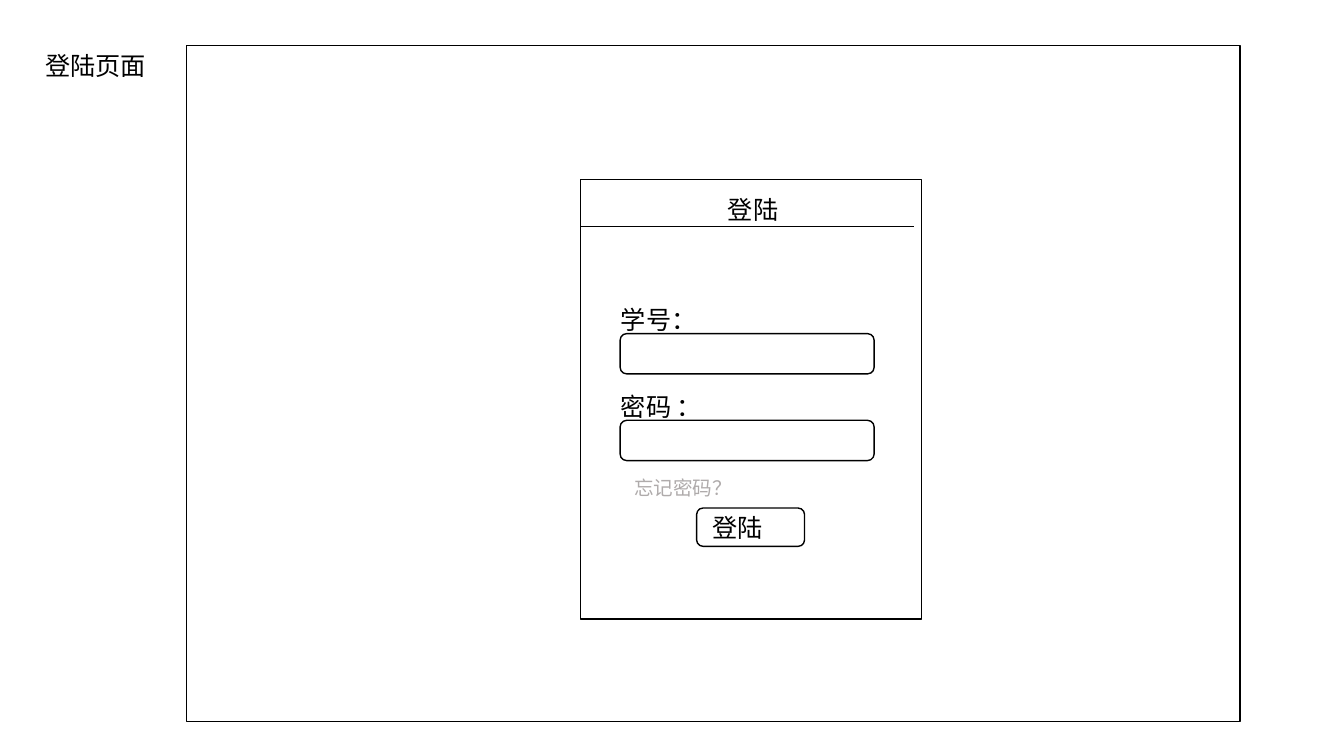
from lxml import etree
from pptx import Presentation
from pptx.dml.color import RGBColor
from pptx.enum.shapes import MSO_CONNECTOR, MSO_SHAPE
from pptx.enum.text import MSO_ANCHOR, MSO_AUTO_SIZE, PP_ALIGN
from pptx.oxml.ns import qn
from pptx.util import Inches, Pt

BLACK = RGBColor(0x00, 0x00, 0x00)
GREY = RGBColor(0xAF, 0xAB, 0xAB)
FONT = "Calibri"

RECT = MSO_SHAPE.RECTANGLE
ROUNDED = MSO_SHAPE.ROUNDED_RECTANGLE
STRAIGHT = MSO_CONNECTOR.STRAIGHT
TOP, MIDDLE = MSO_ANCHOR.TOP, MSO_ANCHOR.MIDDLE
GROW = MSO_AUTO_SIZE.SHAPE_TO_FIT_TEXT
LEFT = PP_ALIGN.LEFT

FIELDS = ("学号：", "密码 ：")
FIELD_TOP, FIELD_PITCH = 2.97, 0.86
LABEL_TO_INPUT = 0.34


def write(shape, text, size=18, color=BLACK, anchor=TOP):
    frame = shape.text_frame
    frame.text = text
    frame.vertical_anchor = anchor
    paragraph = frame.paragraphs[0]
    paragraph.alignment = LEFT
    font = paragraph.runs[0].font
    font.name, font.size, font.color.rgb = FONT, Pt(size), color


def add_label(shapes, text, left, top, width, height=0.4, wrap=True, **style):
    label = shapes.add_textbox(
        Inches(left), Inches(top), Inches(width), Inches(height))
    write(label, text, **style)
    label.text_frame.word_wrap = wrap
    label.text_frame.auto_size = GROW


def add_outline(shapes, kind, left, top, width, height):
    """Add an unfilled shape with a thin black border."""
    outline = shapes.add_shape(
        kind, Inches(left), Inches(top), Inches(width), Inches(height))
    outline.shadow.inherit = False
    outline.fill.background()
    outline.line.color.rgb = BLACK
    outline.line.width = Pt(1)
    return outline


def add_divider(shapes, left, right, y):
    divider = shapes.add_connector(
        STRAIGHT, Inches(left), Inches(y), Inches(right), Inches(y))
    divider.line.color.rgb = BLACK
    divider.line.width = Pt(0.5)
    etree.SubElement(divider._element.spPr, qn("a:effectLst"))


def add_page_title(slide, text):
    title = slide.shapes.title
    title.left, title.top = Inches(0.35), Inches(0.45)
    title.width, title.height = Inches(1.91), Inches(0.4)
    write(title, text)
    title.text_frame.auto_size = GROW


def add_login_panel(slide):
    panel = slide.shapes.add_group_shape().shapes
    add_outline(panel, RECT, 5.76, 1.78, 3.38, 4.36)
    add_divider(panel, 5.76, 9.07, 2.25)
    add_label(panel, "登陆", 7.12, 1.88, 1.01)

    for row, field in enumerate(FIELDS):
        top = FIELD_TOP + row * FIELD_PITCH
        add_label(panel, field, 6.06, top, 0.95, wrap=False)
        add_outline(panel, ROUNDED, 6.15, top + LABEL_TO_INPUT, 2.52, 0.4)

    login_button = add_outline(panel, ROUNDED, 6.91, 5.04, 1.07, 0.38)
    write(login_button, "登陆", anchor=MIDDLE)
    login_button.text_frame.margin_left = Inches(0.14)
    add_label(panel, "忘记密码？", 6.19, 4.67, 1.18, 0.34, size=14, color=GREY)


def main():
    deck = Presentation()
    deck.slide_width, deck.slide_height = Inches(13.33), Inches(7.5)
    slide = deck.slides.add_slide(deck.slide_layouts[5])
    add_page_title(slide, "登陆页面")
    add_login_panel(slide)
    add_outline(slide.shapes, RECT, 1.85, 0.45, 10.45, 6.71)
    deck.save("out.pptx")


if __name__ == "__main__":
    main()
